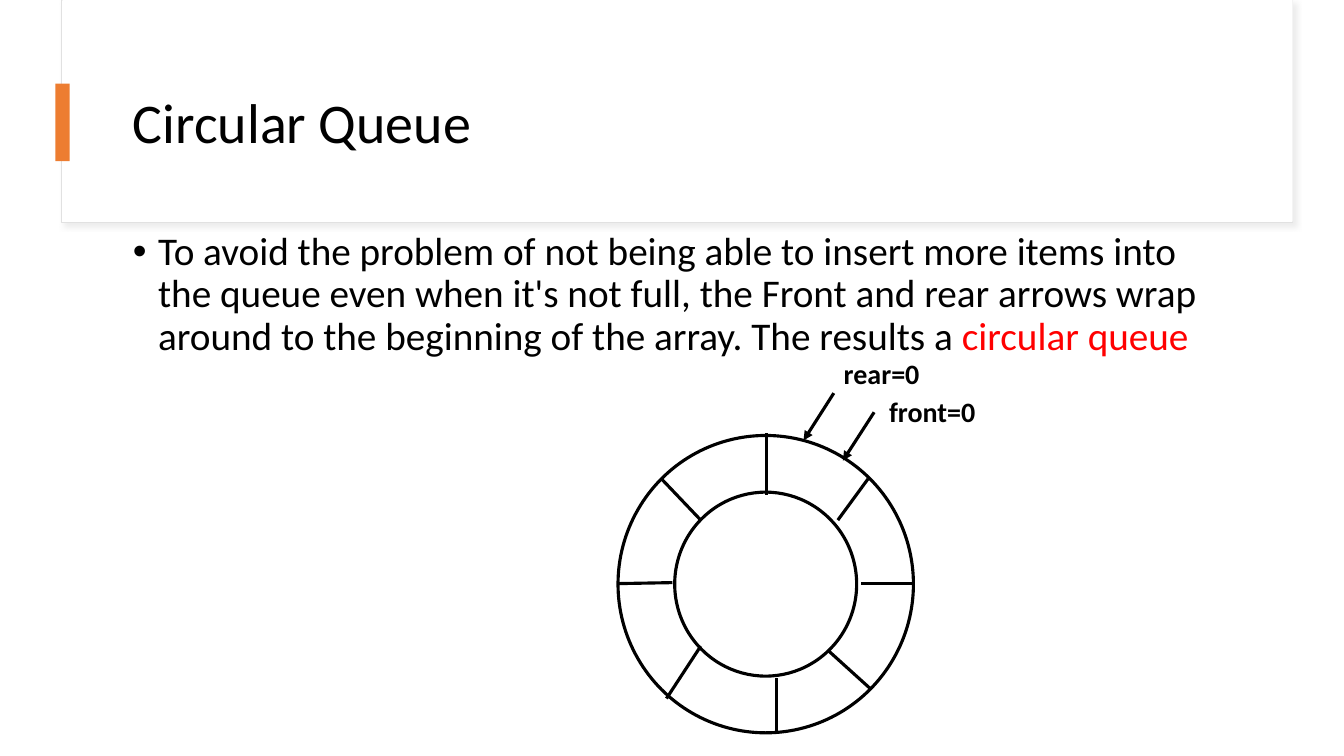
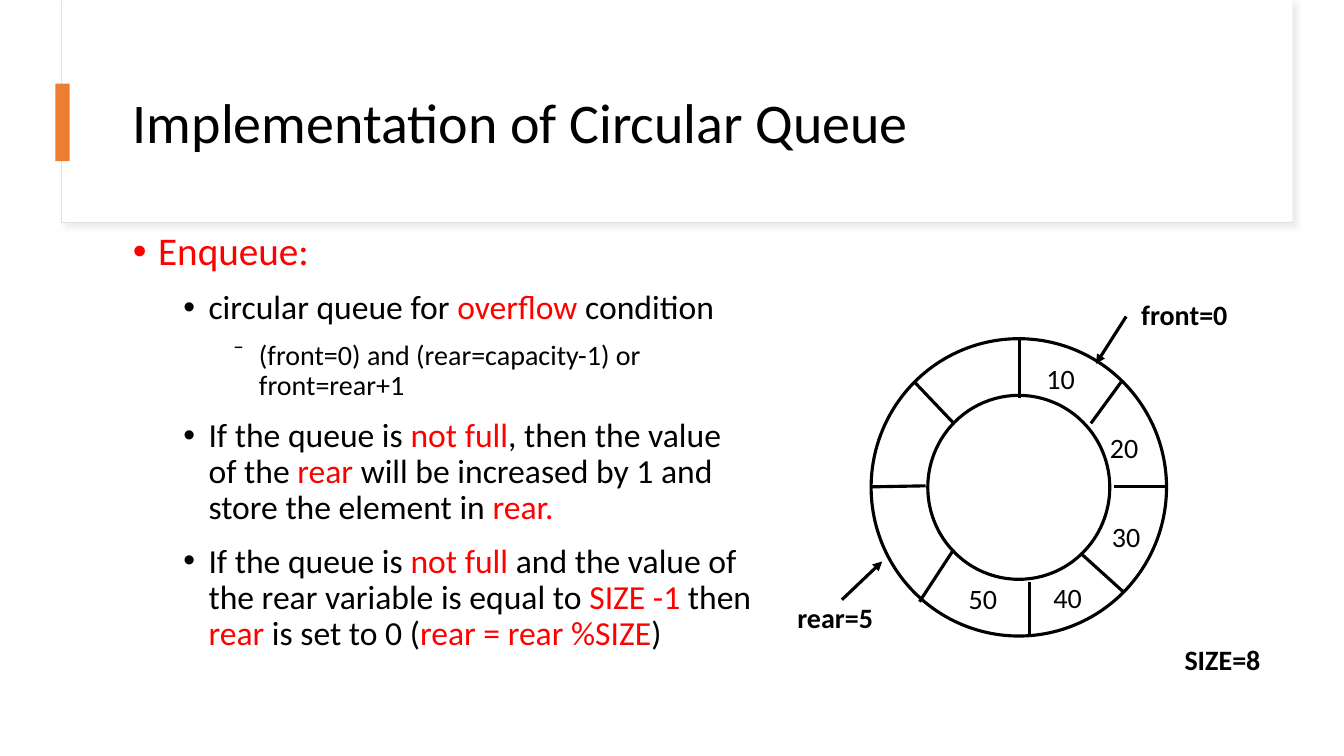
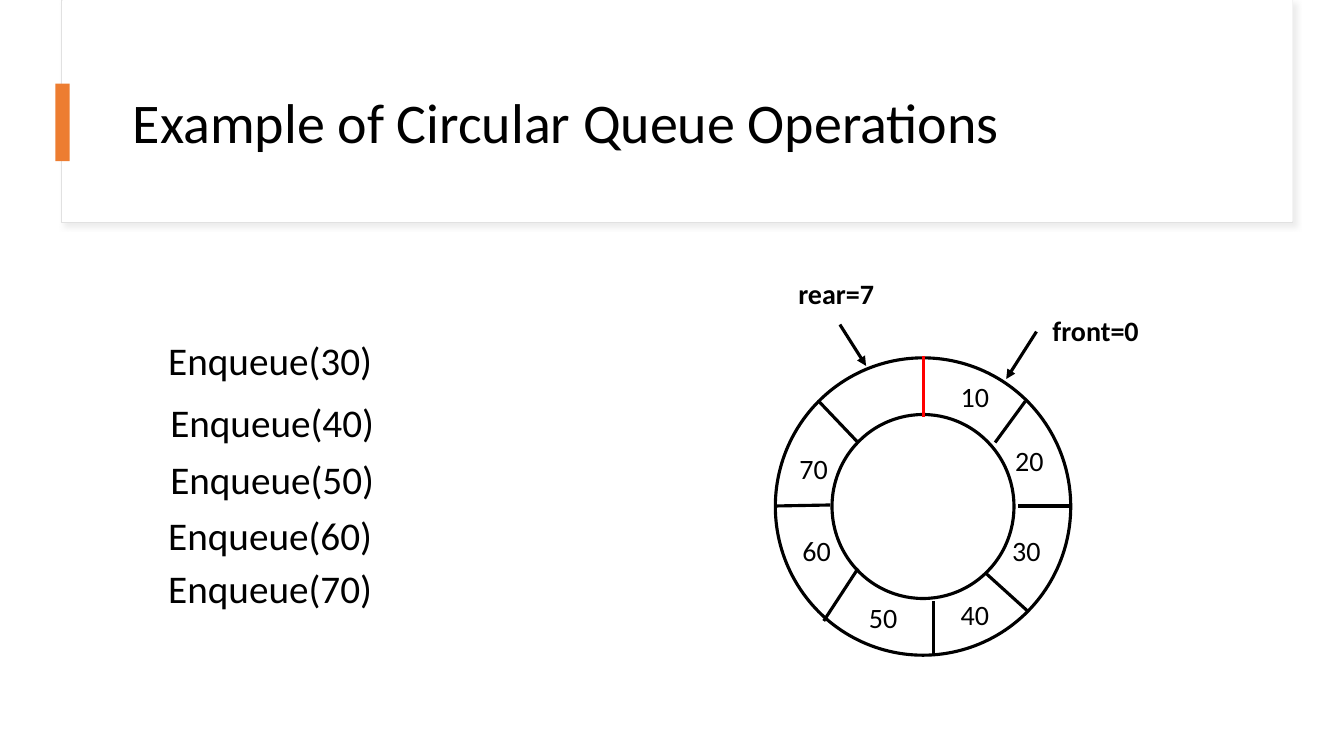
from lxml.etree import SubElement
from pptx import Presentation
from pptx.dml.color import RGBColor
from pptx.enum.shapes import MSO_CONNECTOR, MSO_SHAPE as SHAPE
from pptx.enum.text import MSO_ANCHOR as ANCHOR, MSO_AUTO_SIZE as FIT
from pptx.oxml.ns import qn
from pptx.util import Inches, Pt

BLACK = RGBColor(0, 0, 0)
RED = RGBColor(0xFF, 0, 0)
WHITE = RGBColor(0xFF, 0xFF, 0xFF)
ORANGE = RGBColor(0xED, 0x7D, 0x31)
FRAME_GREY = RGBColor(0xE1, 0xE1, 0xE1)
FONT = "Calibri"

LEVELS = [(28, 0.25, "•"), (24, 0.75, "•"), (20, 1.25, "⁻")]
RING_SIZE = (2.93, 2.95)
RING_THICKNESS = 0.192
SPOKES = [
    (1.47, -0.02, 1.47, 0.59), (2.48, 0.43, 2.18, 0.84),
    (2.93, 1.47, 2.41, 1.47), (2.5, 2.51, 2.08, 2.13),
    (1.57, 2.96, 1.57, 2.41), (0.48, 2.61, 0.82, 2.09),
    (0, 1.47, 0.54, 1.46), (0.43, 0.43, 0.82, 0.84),
]

SLIDES = [
    {
        "title": "Circular Queue",
        "body_size": (11.12, 1.38),
        "body": [
            (0, [("To avoid the problem of not being able to insert more items "
                  "into the queue even when it's not full, the Front and rear "
                  "arrows wrap around to the beginning of the array. "
                  "The results a ", BLACK), ("circular queue ", RED)]),
        ],
        "ring": (6.13, 4.32),
        "pointers": [(8.27, 3.9, 7.97, 4.37), (8.67, 4.09, 8.36, 4.57)],
        "labels": [("front=0", 8.72, 3.86, 1.07), ("rear=0", 8.27, 3.49, 0.96)],
    },
    {
        "title": "Implementation of Circular Queue",
        "body_size": (6.38, 5.04),
        "body": [
            (0, [("Enqueue: ", RED)]),
            (1, [("circular queue for ", BLACK), ("overflow", RED),
                 (" condition", BLACK)]),
            (2, [("(front=0) and (rear=capacity-1) or front=rear+1 ", BLACK)]),
            (1, [("If the queue is ", BLACK), ("not full", RED),
                 (", then the value of the ", BLACK), ("rear", RED),
                 (" will be increased by 1 and store the element in ", BLACK),
                 ("rear.", RED)]),
            (1, [("If the queue is ", BLACK), ("not full ", RED),
                 ("and the value of the rear variable is equal to ", BLACK),
                 ("SIZE -1", RED), (" then ", BLACK), ("rear", RED),
                 (" is set to 0 (", BLACK), ("rear = rear %SIZE", RED),
                 (")", BLACK)]),
        ],
        "ring": (8.64, 3.36),
        "pointers": [(8.35, 5.95, 8.75, 5.57), (11.17, 3.14, 10.87, 3.61)],
        "labels": [("front=0", 11.22, 2.9, 1.07), ("rear=5", 7.81, 5.91, 0.96),
                   ("SIZE=8", 11.65, 6.32, 1.17)],
        "items": [("10", 10.28, 3.54), ("20", 10.91, 4.22), ("30", 10.93, 5.1),
                  ("40", 10.35, 5.71), ("50", 9.51, 5.72)],
    },
    {
        "title": "Example of Circular Queue Operations",
        "ring": (7.69, 3.55),
        "first_spoke": RED,
        "pointers": [(8.33, 3.22, 8.59, 3.63), (10.28, 3.29, 9.98, 3.76)],
        "labels": [("front=0", 10.34, 3.06, 1.07), ("rear=7", 7.82, 2.69, 0.96)],
        "items": [("10", 9.43, 3.72), ("20", 9.97, 4.35), ("30", 9.94, 5.24),
                  ("40", 9.43, 5.88), ("50", 8.52, 5.91), ("60", 7.86, 5.24),
                  ("70", 7.83, 4.43)],
        "calls": [("Enqueue(30)", 1.57, 3.29), ("Enqueue(40)", 1.59, 3.9),
                  ("Enqueue(50)", 1.59, 4.47), ("Enqueue(60)", 1.57, 5.02),
                  ("Enqueue(70)", 1.57, 5.55)],
    },
]


def add_block(slide, kind, box, fill, line=None, width=0.75):
    block = slide.shapes.add_shape(kind, *map(Inches, box))
    block.shadow.inherit = False
    block.fill.solid()
    block.fill.fore_color.rgb = fill
    if line is None:
        block.line.fill.background()
    else:
        block.line.color.rgb = line
        block.line.width = Pt(width)
    return block


def add_run(paragraph, text, size, color=BLACK, bold=False):
    run = paragraph.add_run()
    run.text = text
    run.font.name = FONT
    run.font.size = Pt(size)
    run.font.bold = bold
    run.font.color.rgb = color


def add_frame(slide, box, wrap=True):
    frame = slide.shapes.add_textbox(*map(Inches, box)).text_frame
    frame.word_wrap = wrap
    return frame


def add_label(slide, text, box, size=20, bold=False, wrap=False):
    frame = add_frame(slide, box, wrap)
    frame.auto_size = FIT.SHAPE_TO_FIT_TEXT
    add_run(frame.paragraphs[0], text, size, bold=bold)


def add_stroke(slide, ends, color=BLACK, arrow=False):
    stroke = slide.shapes.add_connector(MSO_CONNECTOR.STRAIGHT, *map(Inches, ends))
    stroke.line.color.rgb = color
    stroke.line.width = Pt(2.25)
    if arrow:
        SubElement(stroke.line._get_or_add_ln(), qn("a:tailEnd"), type="triangle")
    SubElement(stroke._element.spPr, qn("a:effectLst"))


def add_heading(slide, title):
    card = add_block(slide, SHAPE.RECTANGLE, (0.61, 0, 12.21, 2.21), WHITE, FRAME_GREY)
    effects = card._element.spPr.find(qn("a:effectLst"))
    shadow = SubElement(effects, qn("a:outerShdw"), blurRad=str(Pt(4)),
                        dist=str(Pt(3)), dir=str(45 * 60000), algn="tl",
                        rotWithShape="0")
    tint = SubElement(shadow, qn("a:srgbClr"), val="D9D9D9")
    SubElement(tint, qn("a:alpha"), val="50000")
    add_block(slide, SHAPE.RECTANGLE, (0.62, 0, 12.2, 2.2), WHITE)
    frame = add_frame(slide, (1.22, 0.6, 11.12, 1.29))
    frame.vertical_anchor = ANCHOR.MIDDLE
    frame.paragraphs[0].line_spacing = 0.9
    add_run(frame.paragraphs[0], title, 40)
    add_block(slide, SHAPE.RECTANGLE, (0.55, 0.83, 0.14, 0.77), ORANGE)


def add_body(slide, points, size):
    frame = add_frame(slide, (1.22, 2.25, *size))
    for index, (level, runs) in enumerate(points):
        paragraph = frame.add_paragraph() if index else frame.paragraphs[0]
        font_size, indent, bullet = LEVELS[level]
        paragraph.level = level
        paragraph.line_spacing = 0.9
        props = paragraph._p.get_or_add_pPr()
        props.set("marL", str(Inches(indent)))
        props.set("indent", str(Inches(-0.25)))
        before = SubElement(props, qn("a:spcBef"))
        SubElement(before, qn("a:spcPct"), val="50000")
        SubElement(props, qn("a:buFont"), typeface="Arial")
        SubElement(props, qn("a:buChar"), char=bullet)
        for text, color in runs:
            add_run(paragraph, text, font_size, color)


def add_ring(slide, left, top, first_spoke):
    ring = add_block(slide, SHAPE.DONUT, (left, top, *RING_SIZE), WHITE, BLACK, 2.25)
    ring.adjustments[0] = RING_THICKNESS
    for index, (x1, y1, x2, y2) in enumerate(SPOKES):
        add_stroke(slide, (left + x1, top + y1, left + x2, top + y2),
                   BLACK if index else first_spoke)


deck = Presentation()
deck.slide_width, deck.slide_height = Inches(13.33), Inches(7.5)
for content in SLIDES:
    slide = deck.slides.add_slide(deck.slide_layouts[6])
    add_heading(slide, content["title"])
    if "body" in content:
        add_body(slide, content["body"], content["body_size"])
    add_ring(slide, *content["ring"], content.get("first_spoke", BLACK))
    for ends in content["pointers"]:
        add_stroke(slide, ends, arrow=True)
    for text, left, top, width in content["labels"]:
        add_label(slide, text, (left, top, width, 0.44), bold=True)
    for text, left, top in content.get("items", []):
        add_label(slide, text, (left, top, 0.5, 0.44), wrap=True)
    for text, left, top in content.get("calls", []):
        add_label(slide, text, (left, top, 2.25, 0.57), size=28)
deck.save("out.pptx")
